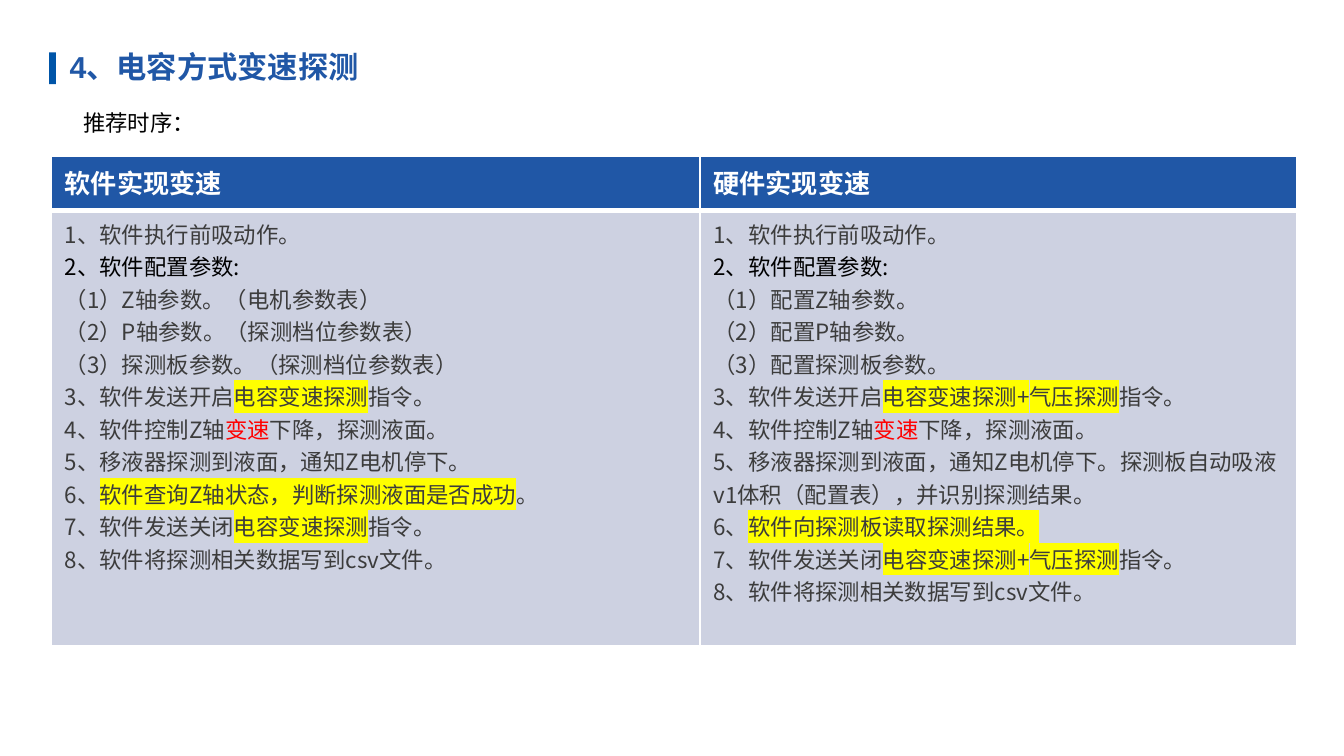
import pptx
import pptx.dml.color
import pptx.enum.shapes
import pptx.enum.text
import pptx.oxml.ns
import pptx.util
from lxml import etree
from pptx.util import Cm

CJK_FONT = "Noto Sans CJK SC"
BLUE, GREY, BLACK, WHITE = "2057A6", "3C3C3C", "000000", "FFFFFF"
RED, YELLOW, PALE_BLUE = "FF0000", "FFFF00", "CDD1E1"


def color(value):
    """Turn a hex string into a colour."""
    return pptx.dml.color.RGBColor.from_string(value)


def add_element(parent, tag, **attributes):
    """Append a drawing element and return it."""
    return etree.SubElement(parent, pptx.oxml.ns.qn(tag), **attributes)


def add_run(paragraph, text, size, text_color, font=CJK_FONT, bold=False, highlight=None):
    """Add one formatted run to a paragraph."""
    run = paragraph.add_run()
    run.text = text
    run.font.size = pptx.util.Pt(size)
    run.font.bold = bold
    run.font.color.rgb = color(text_color)
    properties = run.font._element
    if highlight:
        add_element(add_element(properties, "a:highlight"), "a:srgbClr", val=highlight)
    run.font.name = font
    add_element(properties, "a:ea", typeface=CJK_FONT)


def format_cell(cell, fill, bottom_width=1):
    """Fill a cell and give it white borders."""
    properties = cell._tc.get_or_add_tcPr()
    for side in "LRTB":
        width = bottom_width if side == "B" else 1
        line = add_element(properties, f"a:ln{side}", w=str(pptx.util.Pt(width)))
        add_element(add_element(line, "a:solidFill"), "a:srgbClr", val=WHITE)
    cell.fill.solid()
    cell.fill.fore_color.rgb = color(fill)


def command_step(number, action, target):
    """Return the runs of a step that sends a highlighted command."""
    return [(f"{number}、软件发送{action}", {}), (target, {"highlight": YELLOW}), ("指令。", {})]


def detection_steps(parameters, target, stop_step, result_step):
    """Return the runs of every step in one timing sequence."""
    return [
        [("1、软件执行前吸动作。", {})],
        [("2、软件配置参数:", {"text_color": BLACK})],
        *[[(f"（{number}）{text}", {})] for number, text in enumerate(parameters, 1)],
        command_step(3, "开启", target),
        [("4、软件控制Z轴", {}), ("变速", {"text_color": RED}), ("下降，探测液面。", {})],
        [(f"5、{stop_step}", {})],
        [("6、", {}), *result_step],
        command_step(7, "关闭", target),
        [("8、软件将探测相关数据写到csv文件。", {})],
    ]


def add_title(slide, left, top, width, height):
    """Place the title with its accent bar on the left."""
    bar = slide.shapes.add_shape(
        pptx.enum.shapes.MSO_SHAPE.RECTANGLE, left, top + Cm(0.23), Cm(0.13), Cm(0.6))
    bar.shadow.inherit = False
    bar.fill.solid()
    bar.fill.fore_color.rgb = color("0055A8")
    bar.line.fill.background()

    title = slide.shapes.title
    title.left, title.top = left + Cm(0.13), top
    title.width, title.height = width - Cm(0.13), height
    frame = title.text_frame
    frame.auto_size = pptx.enum.text.MSO_AUTO_SIZE.NONE
    frame.vertical_anchor = pptx.enum.text.MSO_ANCHOR.MIDDLE
    paragraph = frame.paragraphs[0]
    paragraph.alignment = pptx.enum.text.PP_ALIGN.LEFT
    add_run(paragraph, "4、", 16.2, BLUE, "Arial", True)
    add_run(paragraph, "电容方式变速探测", 16.2, BLUE, bold=True)


def add_lead(slide, left, top, width, height):
    """Place the line that introduces the table."""
    frame = slide.shapes.add_textbox(left, top, width, height).text_frame
    frame.word_wrap = True
    frame.margin_left = Cm(0.63)
    add_run(frame.paragraphs[0], "推荐时序：", 12, BLACK)


def add_comparison(slide, left, top, width, height, columns):
    """Place the table that compares the timing sequences."""
    table = slide.shapes.add_table(2, len(columns), left, top, width, height).table
    header_height = Cm(1.03)
    table.rows[0].height = header_height
    table.rows[1].height = height - header_height
    for index, (column_width, heading, steps) in enumerate(columns):
        table.columns[index].width = column_width
        header, body = table.cell(0, index), table.cell(1, index)
        format_cell(header, BLUE, 3)
        add_run(header.text_frame.paragraphs[0], heading, 14, WHITE, "Calibri", True)
        format_cell(body, PALE_BLUE)
        frame = body.text_frame
        for number, runs in enumerate(steps):
            paragraph = frame.add_paragraph() if number else frame.paragraphs[0]
            for text, style in runs:
                add_run(paragraph, text, 12, **{"text_color": GREY, **style})


def main():
    """Build and save the presentation."""
    presentation = pptx.Presentation()
    presentation.slide_width, presentation.slide_height = Cm(25.4), Cm(14.28)
    slide = presentation.slides.add_slide(presentation.slide_layouts[5])
    software = detection_steps(
        ["Z轴参数。（电机参数表）", "P轴参数。（探测档位参数表）", "探测板参数。（探测档位参数表）"],
        "电容变速探测",
        "移液器探测到液面，通知Z电机停下。",
        [("软件查询Z轴状态，判断探测液面是否成功", {"highlight": YELLOW}), ("。", {})])
    hardware = detection_steps(
        ["配置Z轴参数。", "配置P轴参数。", "配置探测板参数。"],
        "电容变速探测+气压探测",
        "移液器探测到液面，通知Z电机停下。探测板自动吸液v1体积（配置表），并识别探测结果。",
        [("软件向探测板读取探测结果。", {"highlight": YELLOW})])

    add_title(slide, Cm(0.93), Cm(0.76), Cm(11.79), Cm(0.97))
    add_lead(slide, Cm(0.94), Cm(1.93), Cm(23.57), Cm(1.27))
    add_comparison(slide, Cm(0.97), Cm(2.95), Cm(23.54), Cm(9.25), [
        (Cm(12.26), "软件实现变速", software),
        (Cm(11.28), "硬件实现变速", hardware),
    ])
    presentation.save("out.pptx")


if __name__ == "__main__":
    main()
